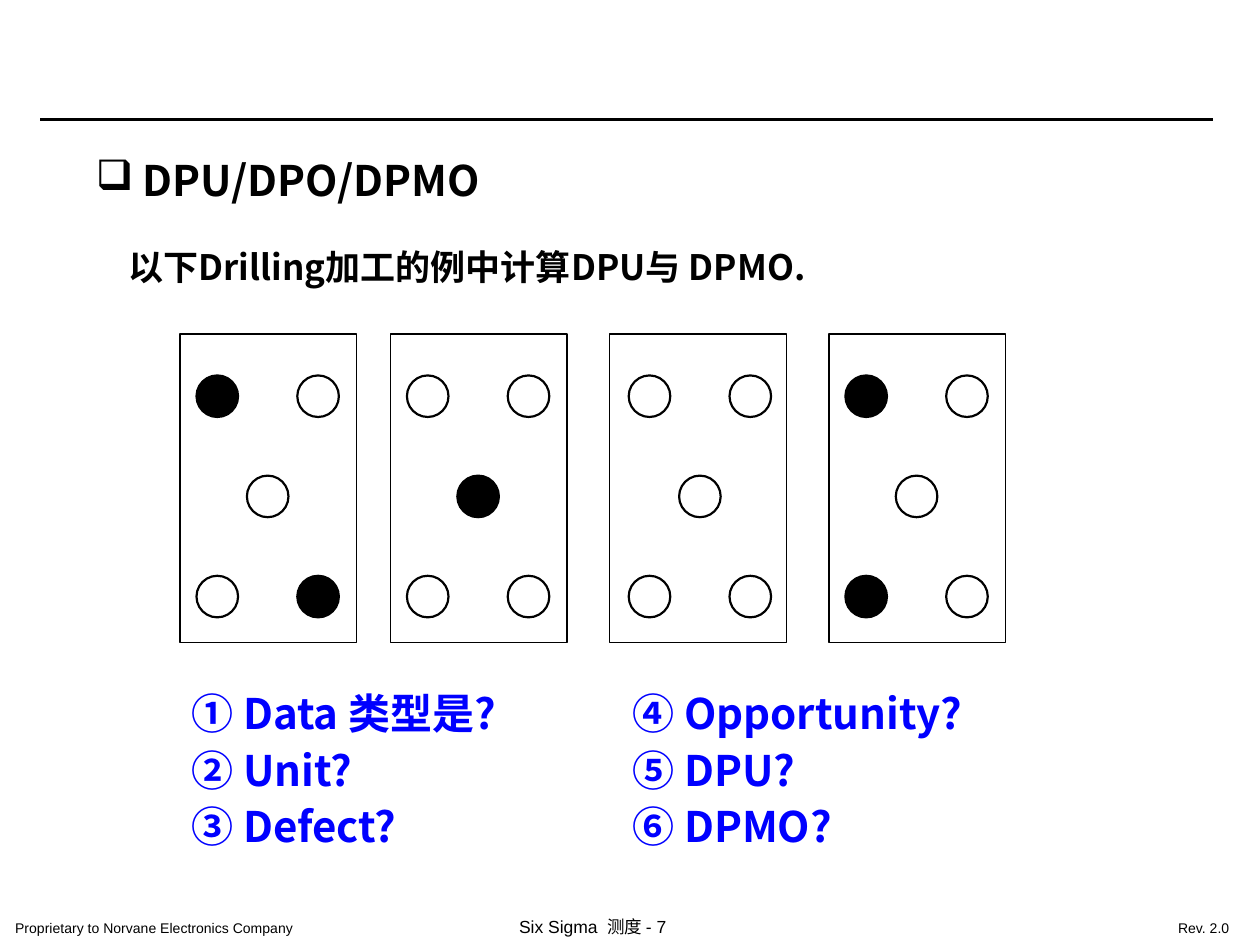
from dataclasses import dataclass

import lxml.etree
import pptx
import pptx.dml.color
import pptx.enum.shapes
import pptx.enum.text
import pptx.oxml
import pptx.oxml.ns
import pptx.util

Inches = pptx.util.Inches
Pt = pptx.util.Pt
RGBColor = pptx.dml.color.RGBColor
Shape = pptx.enum.shapes.MSO_SHAPE
Anchor = pptx.enum.text.MSO_ANCHOR
Align = pptx.enum.text.PP_ALIGN
qn = pptx.oxml.ns.qn

BLACK = RGBColor(0x00, 0x00, 0x00)
WHITE = RGBColor(0xFF, 0xFF, 0xFF)
RED = RGBColor(0xFF, 0x00, 0x33)
BLUE = RGBColor(0x00, 0x00, 0xFF)
SANS = "Arial"
HAN = "Noto Sans CJK SC"


@dataclass
class Style:
    size: float
    font: str = HAN
    color: RGBColor = BLACK
    bold: bool = True
    before: float = 0
    lead: float = 1.0


@dataclass
class Block:
    box: tuple[float, float, float, float]
    inset: tuple[float, float]
    lines: list[str]
    style: Style


@dataclass
class Plate:
    left: float
    first: float
    bad: set[int]


FOOT = Style(8, SANS, bold=False)
PAGE = Style(10, SANS, bold=False)
LEAD = Style(20, before=12.5)
ASK = Style(24, color=BLUE, before=15, lead=0.6)

BLOCKS = [
    Block((0, 7.24, 3.21, 0.25), (0.12, 0.06), ["Proprietary to Norvane Electronics Company"], FOOT),
    Block((4, 7.21, 2.04, 0.29), (0.12, 0.06), ["Six Sigma  测度 - 7"], PAGE),
    Block((9.23, 7.24, 0.7, 0.25), (0.12, 0.06), ["Rev. 2.0"], FOOT),
    Block((0.92, 1.9, 8.75, 0.44), (0.1, 0.05), ["以下Drilling加工的例中计算DPU与 DPMO."], LEAD),
    Block((1.52, 5.6, 3.05, 1.14), (0, 0), ["① Data 类型是?", "② Unit?", "③ Defect?"], ASK),
    Block((5.02, 5.6, 3.05, 1.14), (0, 0), ["④ Opportunity?", "⑤ DPU?", "⑥ DPMO?"], ASK),
]

PLATES = [
    Plate(1.43, 1.56, {0, 4}),
    Plate(3.1, 3.23, {2}),
    Plate(4.84, 4.99, set()),
    Plate(6.58, 6.71, {0, 3}),
]
HOLES = [(0, 0), (2, 0), (1, 1), (0, 2), (2, 2)]
TOP, WIDE, HIGH = 2.65, 1.4, 2.45
HOLE, START, STEP_X, STEP_Y = 0.33, 2.98, 0.4, 0.795


def add_run(para, text: str, style: Style, color: RGBColor) -> None:
    run = para.add_run()
    run.text = text
    font = run.font
    font.size = Pt(style.size)
    font.bold = style.bold
    font.name = style.font
    font.color.rgb = color
    latin = run._r.get_or_add_rPr().find(qn("a:latin"))
    east = lxml.etree.Element(qn("a:ea"), typeface=HAN)
    latin.addnext(east)


def set_inset(frame, left: float, top: float, right: float) -> None:
    frame.margin_left = Inches(left)
    frame.margin_right = Inches(right)
    frame.margin_top = frame.margin_bottom = Inches(top)
    frame.word_wrap = True


def add_block(slide, block: Block) -> None:
    frame = slide.shapes.add_textbox(*map(Inches, block.box)).text_frame
    side, top = block.inset
    set_inset(frame, side, top, side)
    style = block.style
    for i, line in enumerate(block.lines):
        para = frame.add_paragraph() if i else frame.paragraphs[0]
        para.space_before = Pt(style.before)
        para.line_spacing = style.lead
        add_run(para, line, style, style.color)


def add_title(slide) -> None:
    title = slide.shapes.title
    title.left, title.top = Inches(0.52), Inches(1.19)
    title.width, title.height = Inches(4.16), Inches(0.48)
    frame = title.text_frame
    set_inset(frame, 0.24, 0, 0)
    frame.auto_size = pptx.enum.text.MSO_AUTO_SIZE.NONE
    frame.vertical_anchor = Anchor.MIDDLE
    para = frame.paragraphs[0]
    para.alignment = Align.LEFT
    para.line_spacing = 1.0
    para.space_before = Pt(0)
    props = para._p.get_or_add_pPr()
    props.set("marL", "0")
    props.set("indent", "0")
    tint = lxml.etree.SubElement(props, qn("a:buClr"))
    lxml.etree.SubElement(tint, qn("a:srgbClr"), val=str(BLACK))
    lxml.etree.SubElement(props, qn("a:buChar"), char="❑")
    style = Style(24)
    add_run(para, " ", style, RED)
    add_run(para, "DPU/DPO/DPMO", style, BLACK)


def add_rule(slide) -> None:
    rule = slide.shapes.add_connector(
        pptx.enum.shapes.MSO_CONNECTOR.STRAIGHT,
        Inches(0.32), Inches(0.95), Inches(9.63), Inches(0.95))
    rule.line.color.rgb = BLACK
    rule.line.width = Pt(1.5)
    lxml.etree.SubElement(rule._element.spPr, qn("a:effectLst"))


def add_form(slide, kind, box: tuple, fill: RGBColor, width: float) -> None:
    form = slide.shapes.add_shape(kind, *map(Inches, box))
    form.shadow.inherit = False
    form.fill.solid()
    form.fill.fore_color.rgb = fill
    form.line.color.rgb = BLACK
    form.line.width = Pt(width)


def add_plate(slide, plate: Plate) -> None:
    add_form(slide, Shape.RECTANGLE, (plate.left, TOP, WIDE, HIGH), WHITE, 0.75)
    for i, (col, row) in enumerate(HOLES):
        box = (plate.first + col * STEP_X, START + row * STEP_Y, HOLE, HOLE)
        add_form(slide, Shape.OVAL, box, BLACK if i in plate.bad else WHITE, 1.25)


def main() -> None:
    deck = pptx.Presentation()
    deck.slide_width, deck.slide_height = Inches(10), Inches(7.5)
    slide = deck.slides.add_slide(deck.slide_layouts[5])
    add_rule(slide)
    add_title(slide)
    for block in BLOCKS:
        add_block(slide, block)
    for plate in PLATES:
        add_plate(slide, plate)
    deck.save("out.pptx")


if __name__ == "__main__":
    main()
